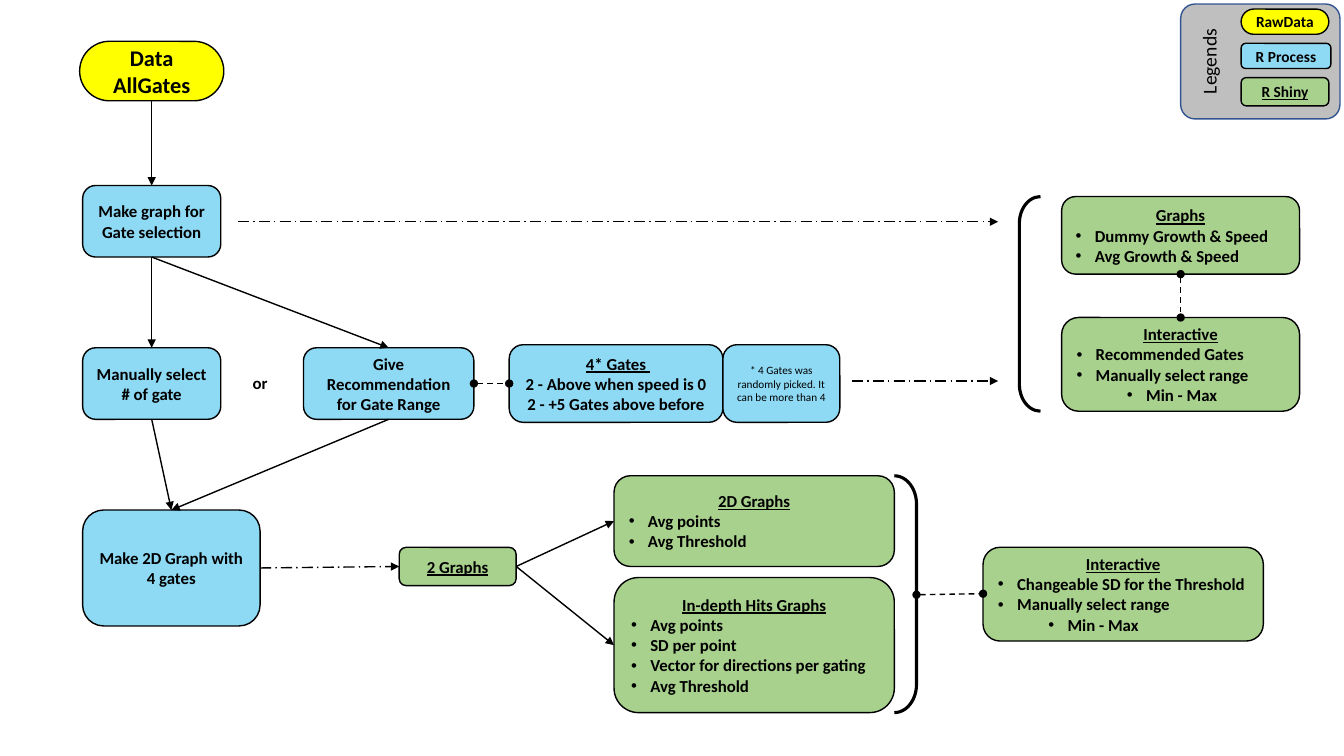
from lxml import etree
from pptx import Presentation
from pptx.dml.color import RGBColor
from pptx.enum.dml import MSO_LINE as DASH
from pptx.enum.shapes import MSO_CONNECTOR, MSO_SHAPE as SHAPE
from pptx.enum.text import MSO_ANCHOR as ANCHOR, PP_ALIGN as ALIGN
from pptx.oxml.ns import qn
from pptx.util import Emu, Pt

PX = 9144  # 100 px to the inch
FONT = "Calibri"
BLACK, YELLOW, BLUE, GREEN = "000000", "FFFF00", "8ED9F4", "A9D18E"
GREY, NAVY = "BFBFBF", "325491"
ROUND, PILL = 0.181, 0.5
TOP, LEFT, BOTTOM, RIGHT = range(4)  # connection sites of a box


def px(*values):
    return [Emu(v * PX) for v in values]


def color(fmt, hex_code):
    fmt.rgb = RGBColor.from_string(hex_code)


def add_run(p, text, size=12, bold=True, underline=False):
    r = p.add_run()
    r.text = text
    r.font.name, r.font.size = FONT, Pt(size)
    r.font.bold, r.font.underline = bold, underline
    color(r.font.color, BLACK)


def add_paragraph(tf, first=False):
    p = tf.paragraphs[0] if first else tf.add_paragraph()
    p.alignment = ALIGN.CENTER
    return p


def add_bullet(tf, text, level=0):
    p = add_paragraph(tf)
    p.alignment, p.level = ALIGN.LEFT, level
    pPr = p._p.get_or_add_pPr()
    pPr.set("marL", str((19 + 50 * level) * PX))
    pPr.set("indent", str(-19 * PX))
    etree.SubElement(pPr, qn("a:buFont")).set("typeface", "Arial")
    etree.SubElement(pPr, qn("a:buChar")).set("char", "•")
    add_run(p, text)


def add_outline(shapes, kind, at, adj, fill=None, line=BLACK, width=1):
    sp = shapes.add_shape(kind, *px(*at))
    sp.shadow.inherit = False
    sp.adjustments[0] = adj
    if fill:
        sp.fill.solid()
        color(sp.fill.fore_color, fill)
    else:
        sp.fill.background()
    color(sp.line.color, line)
    sp.line.width = Pt(width)
    return sp


def add_box(shapes, at, fill, *lines, adj=ROUND, **style):
    """Rounded box with centred lines of text."""
    sp = add_outline(shapes, SHAPE.ROUNDED_RECTANGLE, at, adj, fill)
    tf = sp.text_frame
    tf.word_wrap, tf.vertical_anchor = True, ANCHOR.MIDDLE
    for i, text in enumerate(lines):
        add_run(add_paragraph(tf, i == 0), text, **style)
    return sp


def add_card(shapes, at, title, bullets, sub_bullet=None):
    """Green box with an underlined title above bullets."""
    sp = add_box(shapes, at, GREEN, title, underline=True)
    for text in bullets:
        add_bullet(sp.text_frame, text)
    if sub_bullet:
        add_bullet(sp.text_frame, sub_bullet, level=1)
    return sp


def add_label(shapes, at, text, vert=None, **style):
    tf = shapes.add_textbox(*px(*at)).text_frame
    tf.word_wrap = True
    if vert:
        tf._txBody.bodyPr.set("vert", vert)
        tf.vertical_anchor = ANCHOR.MIDDLE
    add_run(add_paragraph(tf, True), text, **style)


def add_line(shapes, ends, dash=None, head=None, tail="triangle"):
    cx = shapes.add_connector(MSO_CONNECTOR.STRAIGHT, *px(*ends))
    color(cx.line.color, BLACK)
    cx.line.width = Pt(1)
    if dash:
        cx.line.dash_style = dash
    ln = cx.line._get_or_add_ln()
    for tag, kind in (("a:headEnd", head), ("a:tailEnd", tail)):
        if kind:
            etree.SubElement(ln, qn(tag)).set("type", kind)
    etree.SubElement(cx._element.spPr, qn("a:effectLst"))
    return cx


def add_link(shapes, start, start_site, end, end_site, **style):
    cx = add_line(shapes, (0, 0, 0, 0), **style)
    cx.begin_connect(start, start_site)
    cx.end_connect(end, end_site)


def add_legend(shapes):
    group = shapes.add_group_shape().shapes
    add_outline(group, SHAPE.ROUNDED_RECTANGLE, (1171, 4, 158, 114), 0.125, GREY, NAVY)
    add_box(group, (1231, 9, 87, 25), YELLOW, "RawData", adj=PILL, size=11)
    add_box(group, (1231, 43, 89, 25), BLUE, "R Process", size=11)
    add_box(group, (1231, 77, 87, 28), GREEN, "R Shiny", size=11, underline=True)
    add_label(group, (1161, 4, 76, 114), "Legends", "vert270", size=14, bold=False)


def main():
    prs = Presentation()
    prs.slide_width, prs.slide_height = px(1333, 750)
    s = prs.slides.add_slide(prs.slide_layouts[6])
    shapes = s.shapes
    dots = dict(dash=DASH.DASH, head="oval", tail="oval")

    # Process steps
    data = add_box(shapes, (79, 41, 143, 59), YELLOW, "Data", "AllGates", adj=PILL, size=16)
    select = add_box(shapes, (82, 184, 137, 71), BLUE, "Make graph for Gate selection")
    manual = add_box(shapes, (82, 345, 137, 71), BLUE, "Manually select # of gate")
    add_label(shapes, (236, 365, 44, 30), "or")
    advice = add_box(shapes, (301, 345, 169, 71), BLUE, "Give Recommendation for Gate Range")
    graph_2d = add_box(shapes, (82, 506, 176, 115), BLUE, "Make 2D Graph with 4 gates")

    # Gate rule and its footnote
    gates = add_box(shapes, (505, 342, 212, 77), BLUE, " ")
    tf = gates.text_frame
    add_run(tf.paragraphs[0], "4* Gates ", underline=True)
    for text in ("2 - Above when speed is 0", "2 - +5 Gates above before"):
        add_run(add_paragraph(tf), text)
    add_box(shapes, (717, 342, 116, 77), BLUE,
            "* 4 Gates was randomly picked. It can be more than 4", size=8, bold=False)

    # Shiny outputs
    graphs = add_card(shapes, (1053, 195, 236, 77), "Graphs",
                      ["Dummy Growth & Speed", "Avg Growth & Speed"])
    ranges = add_card(shapes, (1053, 315, 236, 93), "Interactive",
                      ["Recommended Gates", "Manually select range"], "Min - Max")
    two = add_box(shapes, (396, 543, 116, 38), GREEN, "2 Graphs", underline=True)
    flat = add_card(shapes, (609, 472, 278, 90), "2D Graphs",
                    ["Avg points", "Avg Threshold"])
    hits = add_card(shapes, (609, 573, 278, 134), "In-depth Hits Graphs",
                    ["Avg points", "SD per point",
                     "Vector for directions per gating", "Avg Threshold"])
    add_card(shapes, (975, 543, 278, 93), "Interactive",
             ["Changeable SD for the Threshold", "Manually select range"], "Min - Max")

    # Brackets
    add_outline(shapes, SHAPE.LEFT_BRACKET, (1011, 195, 21, 213), 1.276, width=2.25)
    add_outline(shapes, SHAPE.RIGHT_BRACKET, (887, 472, 22, 235), 1.276, width=2.25)

    # Solid arrows
    for start, end in ((data, select), (select, manual), (select, advice),
                       (manual, graph_2d), (advice, graph_2d)):
        add_link(shapes, start, BOTTOM, end, TOP)
    for end in (flat, hits):
        add_link(shapes, two, RIGHT, end, LEFT)

    # Dashed arrows and dotted links
    add_link(shapes, graph_2d, RIGHT, two, LEFT, dash=DASH.LONG_DASH_DOT)
    for left, y in ((236, 220), (845, 378)):
        add_line(shapes, (left, y, 990, y), dash=DASH.LONG_DASH_DOT)
    add_link(shapes, advice, RIGHT, gates, LEFT, **dots)
    add_link(shapes, graphs, BOTTOM, ranges, TOP, **dots)
    add_line(shapes, (909, 590, 975, 589), **dots)

    add_legend(shapes)
    prs.save("out.pptx")


if __name__ == "__main__":
    main()
